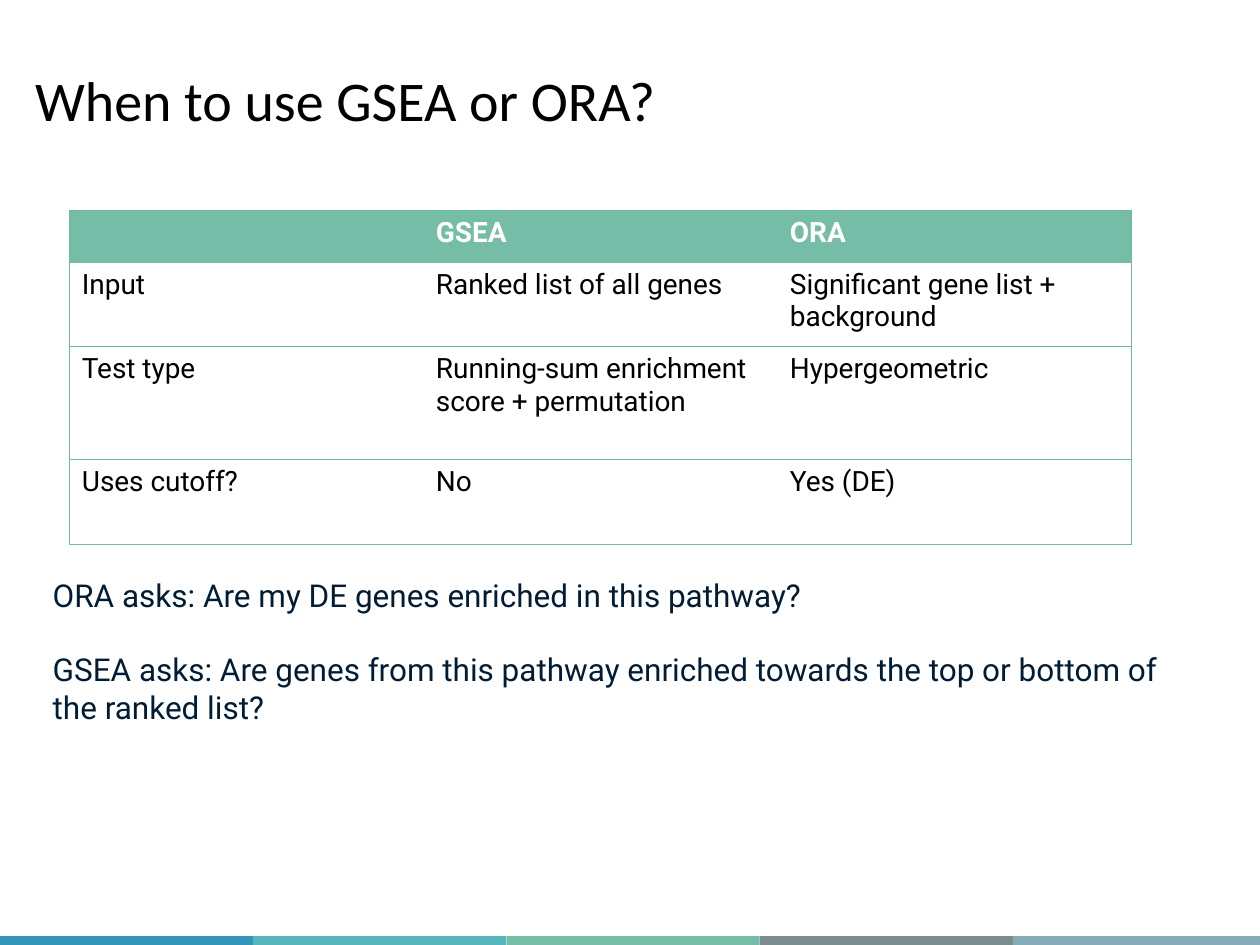
"""Build the slide that compares GSEA with ORA."""
from dataclasses import dataclass

from lxml.etree import SubElement
from pptx import Presentation
from pptx.dml.color import RGBColor
from pptx.enum.shapes import MSO_SHAPE
from pptx.oxml.ns import qn
from pptx.slide import Slide
from pptx.table import _Cell
from pptx.text.text import TextFrame
from pptx.util import Inches, Pt

COLORS = {
    "black": "000000",
    "white": "FFFFFF",
    "navy": "001D35",
    "header": "75BDA7",
    "border": "71BBA4",
}
BAR_COLORS = ["3494BA", "58B6C0", "75BDA7", "7A8C8E", "84ACB6"]
FORMATS = {
    "title": {"name": "Calibri", "size": Pt(32), "bold": False},
    "header": {"name": "Roboto", "size": Pt(16), "bold": True},
    "cell": {"name": "Roboto", "size": Pt(16), "bold": False},
    "body": {"name": "Roboto", "size": Pt(18), "bold": False},
}
TABLE_ROWS = [
    ["", "GSEA", "ORA"],
    ["Input", "Ranked list of all genes", "Significant gene list + background"],
    ["Test type", "Running-sum enrichment score + permutation", "Hypergeometric"],
    ["Uses cutoff?", "No", "Yes (DE)"],
]
ROW_HEIGHTS = [0.41, 0.67, 0.9, 0.67]
COLUMN_WIDTH = 2.81
BAR_WIDTH = 2.01


@dataclass
class TextBlock:
    left: float
    top: float
    width: float
    height: float
    paragraphs: list[str]
    format_name: str
    color: str
    vertical_margin: float
    gap: float = 0


TEXT_BLOCKS = [
    TextBlock(0.18, 0.42, 9.19, 0.74, ["When to use GSEA or ORA?"],
              "title", "black", 0.1),
    TextBlock(0.32, 4.52, 9.36, 1.31, [
        "ORA asks: Are my DE genes enriched in this pathway?",
        "GSEA asks: Are genes from this pathway enriched towards "
        "the top or bottom of the ranked list?",
    ], "body", "navy", 0.05, 21),
]


def write_text(frame: TextFrame, paragraphs: list[str], format_name: str,
               color: str, gap: float = 0) -> None:
    """Write formatted paragraphs with a gap between them."""
    frame.word_wrap = True
    for index, text in enumerate(paragraphs):
        paragraph = frame.add_paragraph() if index else frame.paragraphs[0]
        if index:
            paragraph.space_before = Pt(gap)
        paragraph.text = text
        for attribute, value in FORMATS[format_name].items():
            setattr(paragraph.font, attribute, value)
        paragraph.font.color.rgb = RGBColor.from_string(COLORS[color])


def draw_text(slide: Slide, block: TextBlock) -> None:
    """Draw one text block."""
    box = slide.shapes.add_textbox(Inches(block.left), Inches(block.top),
                                   Inches(block.width), Inches(block.height))
    frame = box.text_frame
    frame.margin_top = frame.margin_bottom = Inches(block.vertical_margin)
    write_text(frame, block.paragraphs, block.format_name, block.color, block.gap)


def draw_bar(slide: Slide, index: int, color: str) -> None:
    """Draw one segment of the footer strip."""
    bar = slide.shapes.add_shape(MSO_SHAPE.RECTANGLE, Inches(index * BAR_WIDTH),
                                 Inches(7.43), Inches(BAR_WIDTH), Inches(0.1))
    bar.shadow.inherit = False
    bar.fill.solid()
    bar.fill.fore_color.rgb = RGBColor.from_string(color)
    bar.line.fill.background()


def set_borders(cell: _Cell, visible: dict[str, bool]) -> None:
    """Show or hide each border of a cell."""
    properties = cell._tc.get_or_add_tcPr()
    for tag, shown in visible.items():
        line = SubElement(properties, qn(f"a:{tag}"), w=str(Pt(0.75)))
        if shown:
            fill = SubElement(line, qn("a:solidFill"))
            SubElement(fill, qn("a:srgbClr"), val=COLORS["border"])
        else:
            SubElement(line, qn("a:noFill"))


def draw_table(slide: Slide) -> None:
    """Draw the comparison table."""
    column_count = len(TABLE_ROWS[0])
    table = slide.shapes.add_table(
        len(TABLE_ROWS), column_count, Inches(0.55), Inches(1.67),
        Inches(COLUMN_WIDTH * column_count), Inches(sum(ROW_HEIGHTS))).table
    table.horz_banding = False
    for column in table.columns:
        column.width = Inches(COLUMN_WIDTH)
    for row_index, (texts, height) in enumerate(zip(TABLE_ROWS, ROW_HEIGHTS)):
        table.rows[row_index].height = Inches(height)
        is_header = row_index == 0
        for column_index, text in enumerate(texts):
            cell = table.cell(row_index, column_index)
            set_borders(cell, {"lnL": column_index == 0,
                               "lnR": column_index == column_count - 1,
                               "lnT": True, "lnB": True})
            cell.fill.solid()
            fill_color = COLORS["header" if is_header else "white"]
            cell.fill.fore_color.rgb = RGBColor.from_string(fill_color)
            write_text(cell.text_frame, [text], "header" if is_header else "cell",
                       "white" if is_header else "black")


def main() -> None:
    """Build and save the presentation."""
    presentation = Presentation()
    presentation.slide_width, presentation.slide_height = Inches(10), Inches(7.5)
    slide = presentation.slides.add_slide(presentation.slide_layouts[6])
    for index, color in enumerate(BAR_COLORS):
        draw_bar(slide, index, color)
    draw_table(slide)
    for block in TEXT_BLOCKS:
        draw_text(slide, block)
    presentation.save("out.pptx")


if __name__ == "__main__":
    main()
